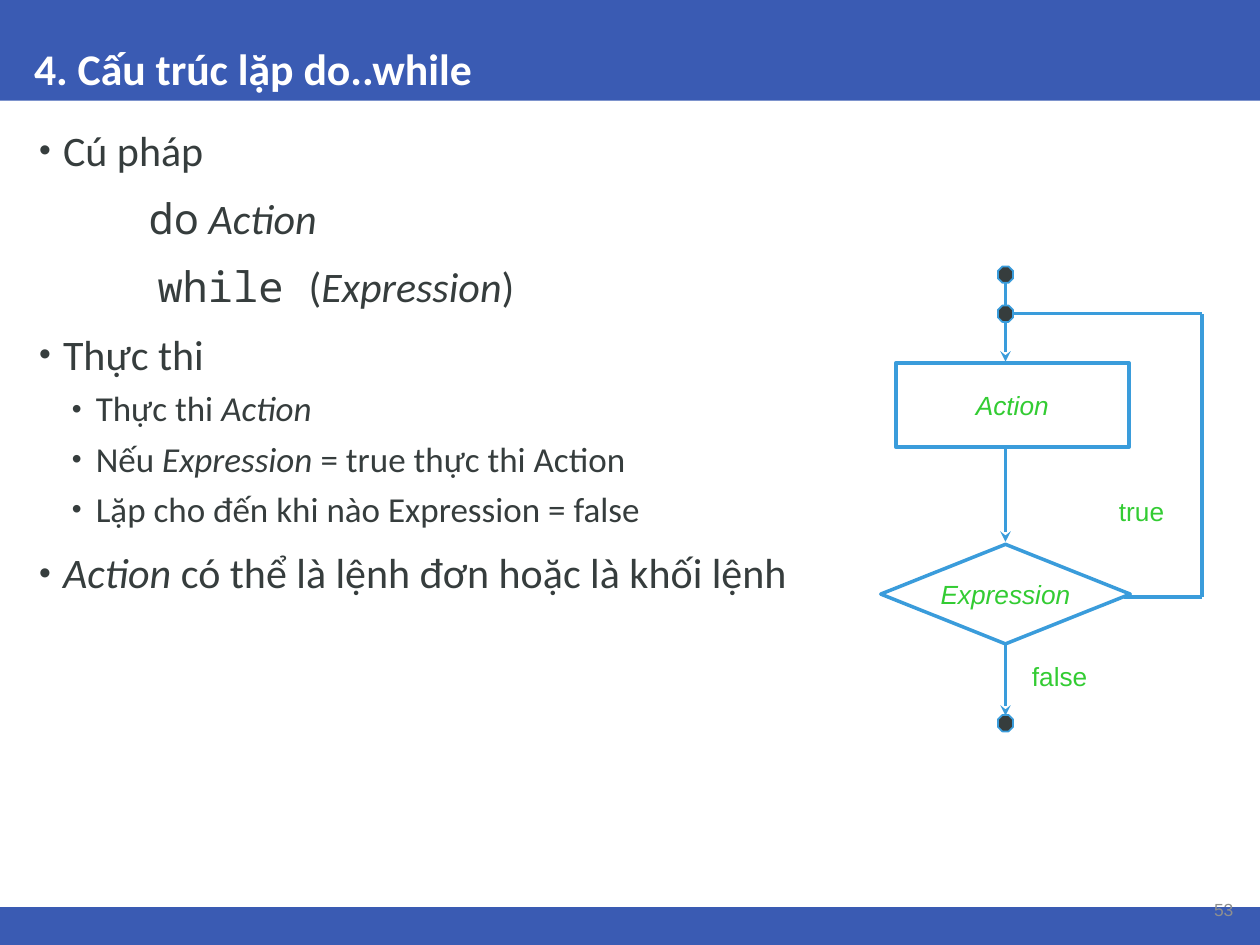
from lxml.etree import SubElement
from pptx import Presentation
from pptx.dml.color import RGBColor
from pptx.enum.shapes import MSO_CONNECTOR, MSO_SHAPE
from pptx.enum.text import MSO_ANCHOR, MSO_AUTO_SIZE, PP_ALIGN
from pptx.oxml.ns import qn
from pptx.util import Inches, Pt

BAND, DARK, BLUE, GREEN, GRAY, WHITE = "3A5BB3", "363D3D", "3A9CDB", "33CC33", "8E8F8F", "FFFFFF"
MONO = "Noto Sans Mono"

# Content: kind of line, then runs as (text, style)
TITLE = "4. Cấu trúc lặp do..while"
PAGE_NUMBER = "53"
BODY = [
    ("point", [("Cú pháp", "")]),
    ("do", [("do", "mono"), (" ", ""), ("Action", "italic")]),
    ("while", [("while ", "mono"), ("(", ""), ("Expression", "italic"), (")", "")]),
    ("point", [("Thực thi", "")]),
    ("detail", [("Thực thi ", ""), ("Action", "italic")]),
    ("detail", [("Nếu ", ""), ("Expression", "italic"), (" = true thực thi Action", "")]),
    ("detail", [("Lặp cho đến khi nào Expression = false", "")]),
    ("point", [("Action", "italic"), (" có thể là lệnh đơn hoặc là khối lệnh", "")]),
]
# Kind: level, left margin, hanging indent, size, space before, bullet
KINDS = {
    "point": (0, 0.23, -0.19, 24, 13, True),
    "do": (0, 0.91, 0, 24, 13, False),
    "while": (0, 0.98, 0, 24, 13, False),
    "detail": (1, 0.49, -0.19, 20, 7, True),
}

# Flowchart geometry
AXIS, LOOP_X, LOOP_TOP, LOOP_BOTTOM = 7.98, 9.54, 2.49, 4.74
LINES = [  # x1, y1, x2, y2, arrow
    (AXIS, 2.24, AXIS, 2.87, True),
    (AXIS, 3.55, AXIS, 4.3, True),
    (AXIS, 5.12, AXIS, 5.68, True),
    (8.92, LOOP_BOTTOM, LOOP_X, LOOP_BOTTOM, False),
    (LOOP_X, LOOP_BOTTOM, LOOP_X, LOOP_TOP, False),
    (AXIS, LOOP_TOP, LOOP_X, LOOP_TOP, False),
]
STEPS = [
    ("Action", MSO_SHAPE.RECTANGLE, (7.11, 2.88, 1.85, 0.67)),
    ("Expression", MSO_SHAPE.DIAMOND, (6.99, 4.32, 1.98, 0.79)),
]
LABELS = [("true", (8.84, 3.89, 0.45, 0.3)), ("false", (8.15, 5.2, 0.53, 0.3))]
NODE_CENTERS = [2.18, LOOP_TOP, 5.74]
NODE_WIDTH, NODE_HEIGHT = 0.12, 0.13


def color(hex_code):
    return RGBColor.from_string(hex_code)


def place(shape, box):
    shape.left, shape.top, shape.width, shape.height = map(Inches, box)


def format_run(run, size, hex_code, font="Calibri", bold=False, italic=False):
    run.font.size, run.font.name = Pt(size), font
    run.font.bold, run.font.italic = bold, italic
    run.font.color.rgb = color(hex_code)


def set_frame(frame, inset, anchor, wrap=True):
    frame.margin_left = frame.margin_right = Inches(inset)
    frame.margin_top = frame.margin_bottom = Inches(inset)
    frame.vertical_anchor, frame.word_wrap = anchor, wrap
    frame.auto_size = MSO_AUTO_SIZE.NONE


def write(shape, text, size, hex_code, inset, anchor, align, wrap=False, **style):
    frame = shape.text_frame
    frame.text = text
    set_frame(frame, inset, anchor, wrap)
    paragraph = frame.paragraphs[0]
    paragraph.alignment = align
    format_run(paragraph.runs[0], size, hex_code, **style)
    return paragraph


def add_shape(slide, preset, box, fill=None, line=None, width=2):
    shape = slide.shapes.add_shape(preset, *map(Inches, box))
    shape.shadow.inherit = False
    if fill:
        shape.fill.solid()
        shape.fill.fore_color.rgb = color(fill)
    else:
        shape.fill.background()
    if line:
        shape.line.color.rgb, shape.line.width = color(line), Pt(width)
    else:
        shape.line.fill.background()
    return shape


def add_line(slide, x1, y1, x2, y2, arrow):
    connector = slide.shapes.add_connector(MSO_CONNECTOR.STRAIGHT, *map(Inches, (x1, y1, x2, y2)))
    connector.line.color.rgb, connector.line.width = color(BLUE), Pt(2)
    if arrow:
        SubElement(connector.line._get_or_add_ln(), qn("a:tailEnd"), type="stealth")
    SubElement(connector.element.spPr, qn("a:effectLst"))


def add_body_line(paragraph, kind, runs):
    level, margin, indent, size, before, bullet = KINDS[kind]
    paragraph.level = level
    paragraph.line_spacing, paragraph.space_before = 0.9, Pt(before)
    paragraph.space_after = Pt(0)
    properties = paragraph._p.get_or_add_pPr()
    properties.set("marL", str(Inches(margin)))
    properties.set("indent", str(Inches(indent)))
    if bullet:
        SubElement(properties, qn("a:buSzPct"), val="80000")
        SubElement(properties, qn("a:buFont"), typeface="Arial")
        SubElement(properties, qn("a:buChar"), char="•")
    else:
        SubElement(properties, qn("a:buNone"))
    for text, style in runs:
        run = paragraph.add_run()
        run.text = text
        format_run(run, size, DARK, MONO if style == "mono" else "Calibri", italic=style == "italic")


def main():
    presentation = Presentation()
    presentation.slide_width, presentation.slide_height = Inches(10), Inches(7.5)
    slide = presentation.slides.add_slide(presentation.slide_layouts[1])

    # Bands, behind the placeholders
    for box in [(0, 0, 10, 0.8), (0, 7.2, 10, 0.3)]:
        band = add_shape(slide, MSO_SHAPE.RECTANGLE, box, fill=BAND)
        band.element.getparent().insert(2, band.element)

    # Title and list
    title, body = slide.shapes.title, slide.placeholders[1]
    place(title, (0.22, 0, 9.57, 0.8))
    heading = write(title, TITLE, 25, WHITE, 0.05, MSO_ANCHOR.BOTTOM, PP_ALIGN.LEFT, wrap=True, bold=True)
    heading.line_spacing = 0.9
    place(body, (0.22, 0.98, 9.57, 6.05))
    frame = body.text_frame
    set_frame(frame, 0.05, MSO_ANCHOR.TOP)
    for index, (kind, runs) in enumerate(BODY):
        paragraph = frame.add_paragraph() if index else frame.paragraphs[0]
        add_body_line(paragraph, kind, runs)

    # Page number
    number = slide.shapes.add_textbox(*map(Inches, (9.26, 7.09, 0.53, 0.25)))
    write(number, PAGE_NUMBER, 10, GRAY, 0, MSO_ANCHOR.MIDDLE, PP_ALIGN.RIGHT, wrap=True, font="Arial")

    # Flowchart
    for line in LINES:
        add_line(slide, *line)
    for text, preset, box in STEPS:
        step = add_shape(slide, preset, box, line=BLUE)
        write(step, text, 15, GREEN, 0.04, MSO_ANCHOR.MIDDLE, PP_ALIGN.CENTER, font="Arial", italic=True)
    for text, box in LABELS:
        label = slide.shapes.add_textbox(*map(Inches, box))
        write(label, text, 15, GREEN, 0.04, MSO_ANCHOR.TOP, PP_ALIGN.LEFT, font="Arial")
    for center in NODE_CENTERS:
        box = (AXIS - NODE_WIDTH / 2, center - NODE_HEIGHT / 2, NODE_WIDTH, NODE_HEIGHT)
        add_shape(slide, MSO_SHAPE.OCTAGON, box, fill=DARK, line=BLUE, width=1)

    presentation.save("out.pptx")


if __name__ == "__main__":
    main()
